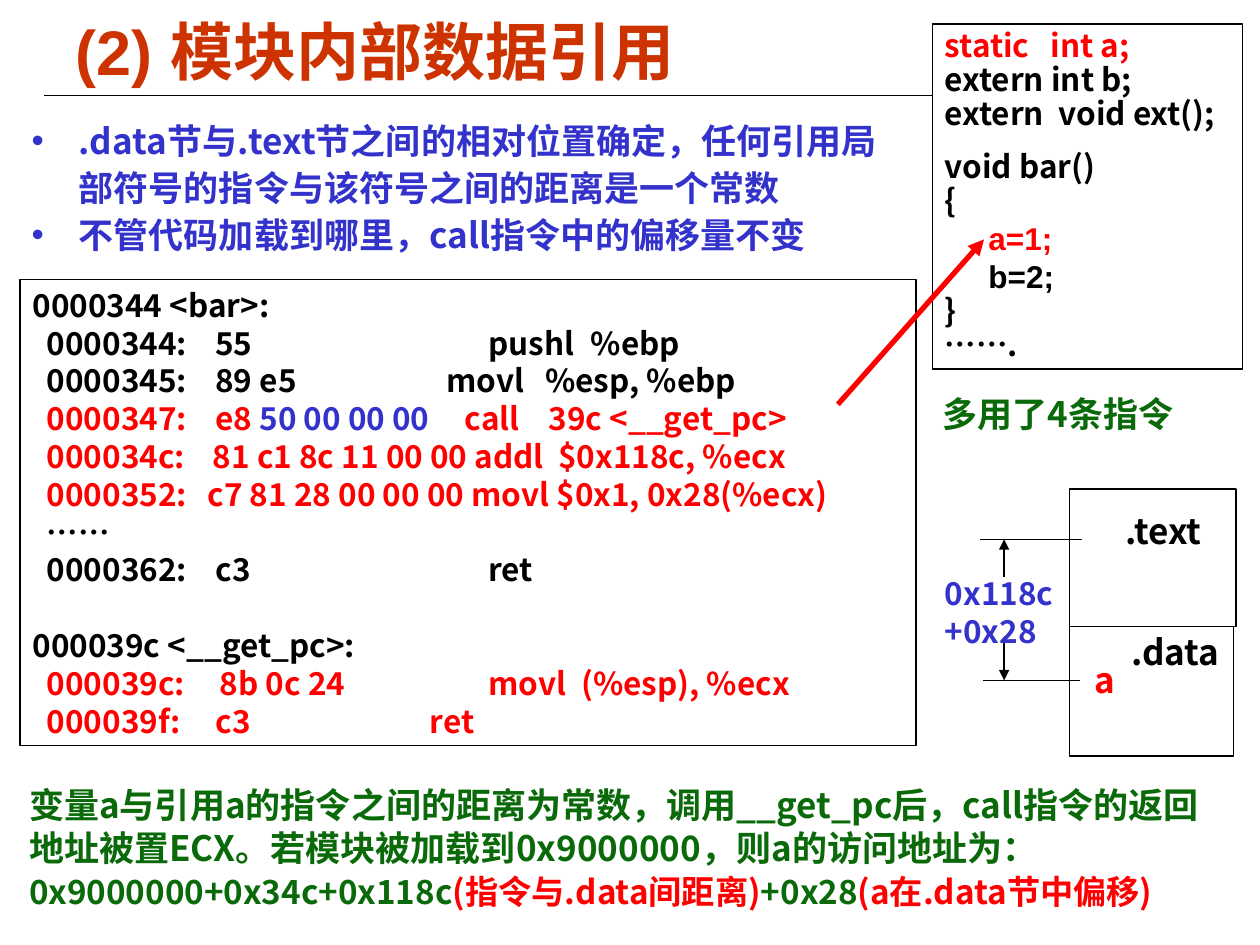
from lxml.etree import SubElement
from pptx import Presentation
from pptx.dml.color import RGBColor
from pptx.enum.shapes import MSO_CONNECTOR, MSO_SHAPE
from pptx.enum.text import MSO_ANCHOR, MSO_AUTO_SIZE, PP_ALIGN
from pptx.oxml.ns import qn
from pptx.util import Pt

SANS, ARIAL = "Noto Sans CJK SC", "Arial"
BLACK, WHITE, RED = "000000", "FFFFFF", "FF0000"
BLUE, GREEN, RUST = "3333CC", "0A6A0A", "CC3300"


def paint(code):
    return RGBColor.from_string(code)


def write(para, text, size=18, color=BLACK, font=SANS, pitch=None,
          before=0, stops=(), bullet=None):
    props = para._p.get_or_add_pPr()
    if bullet:
        props.set("marL", str(Pt(27)))
        props.set("indent", str(Pt(-27)))
        tint = SubElement(props, qn("a:buClr"))
        SubElement(tint, qn("a:srgbClr"), val=color)
        SubElement(props, qn("a:buFont"), typeface=ARIAL)
        SubElement(props, qn("a:buChar"), char=bullet)
    if stops:
        tabs = SubElement(props, qn("a:tabLst"))
        for stop in stops:
            SubElement(tabs, qn("a:tab"), pos=str(Pt(stop)), algn="l")
    para.alignment = PP_ALIGN.LEFT
    para.space_before = Pt(before)
    para.space_after = Pt(0)
    if pitch:
        para.line_spacing = Pt(pitch)
    parts = [(text, color)] if isinstance(text, str) else text
    for words, shade in parts:
        run = para.add_run()
        run.text = words
        run.font.size = Pt(size)
        run.font.bold = True
        run.font.color.rgb = paint(shade)
        run.font.name = font
        SubElement(run._r.get_or_add_rPr(), qn("a:ea"), typeface=SANS)


class Deck:
    thin = 0.75

    def __init__(self):
        self.file = Presentation()
        self.file.slide_width, self.file.slide_height = Pt(720), Pt(540)
        self.slide = self.file.slides.add_slide(self.file.slide_layouts[1])

    def fill(self, shape, rows, wrap=True, side=7.2, anchor=MSO_ANCHOR.TOP, **base):
        frame = shape.text_frame
        frame.word_wrap = wrap
        frame.auto_size = MSO_AUTO_SIZE.NONE
        frame.vertical_anchor = anchor
        frame.margin_left = frame.margin_right = Pt(side)
        frame.margin_top = frame.margin_bottom = Pt(3.6)
        for i, row in enumerate(rows):
            para = frame.add_paragraph() if i else frame.paragraphs[0]
            text, style = row if isinstance(row, tuple) else (row, {})
            write(para, text, **{**base, **style})

    def holder(self, index, area, rows, **base):
        shape = self.slide.placeholders[index]
        shape.left, shape.top, shape.width, shape.height = map(Pt, area)
        self.fill(shape, rows, **base)

    def label(self, area, rows, **base):
        self.fill(self.slide.shapes.add_textbox(*map(Pt, area)), rows, **base)

    def box(self, area, rows=(), back=WHITE, **base):
        shape = self.slide.shapes.add_shape(MSO_SHAPE.RECTANGLE, *map(Pt, area))
        shape.shadow.inherit = False
        if back:
            shape.fill.solid()
            shape.fill.fore_color.rgb = paint(back)
        else:
            shape.fill.background()
        shape.line.color.rgb = paint(BLACK)
        shape.line.width = Pt(self.thin)
        self.fill(shape, rows, **base)

    def line(self, ends, color=BLACK, width=thin, arrow=False):
        link = self.slide.shapes.add_connector(MSO_CONNECTOR.STRAIGHT, *map(Pt, ends))
        link.line.color.rgb = paint(color)
        link.line.width = Pt(width)
        if arrow:
            SubElement(link.line._get_or_add_ln(), qn("a:tailEnd"), type="triangle")
        SubElement(link._element.spPr, qn("a:effectLst"))


def main():
    deck = Deck()
    deck.line((25.2, 54.7, 694.8, 54.7))
    deck.holder(0, (36, 6.5, 648, 44), ["(2) 模块内部数据引用"],
                size=36, color=RUST, font=ARIAL, anchor=MSO_ANCHOR.MIDDLE)
    deck.holder(1, (10.8, 61.9, 510.5, 87), [
        ".data节与.text节之间的相对位置确定，任何引用局部符号的指令与该符号之间的距离是一个常数",
        "不管代码加载到哪里，call指令中的偏移量不变",
    ], size=20, color=BLUE, pitch=26.9, bullet="•")

    body = {"font": ARIAL, "pitch": 21.7}
    deck.box((532.8, 13.7, 177.1, 197.3), [
        ("static\tint a;", {"color": RED, "stops": [60.6]}),
        "extern int b;",
        ("extern\tvoid ext();", {"stops": [65]}),
        ("void bar()", {"before": 10.9}),
        "{",
        ("     a=1;", {"color": RED, **body}),
        ("     b=2;", body),
        "}",
        "…….",
    ], pitch=19.4)

    deck.box((11.5, 159.8, 511.9, 266.4), [
        "0000344 <bar>:",
        ("  0000344:\t55\tpushl\t%ebp", {"stops": [104.5, 260.5, 319]}),
        ("  0000345:\t89 e5\tmovl\t%esp, %ebp", {"stops": [104.5, 236.5, 293]}),
        ([("  0000347:\te8 ", RED), ("50 00 00 00", BLUE),
          ("\tcall\t39c <__get_pc>", RED)], {"stops": [104.5, 247, 295]}),
        ("  000034c:\t81 c1 8c 11 00 00 addl\t$0x118c, %ecx",
         {"color": RED, "stops": [103, 300.5]}),
        ("  0000352:\tc7 81 28 00 00 00 movl $0x1, 0x28(%ecx)",
         {"color": RED, "stops": [100]}),
        "  ……",
        ("  0000362:\tc3\tret", {"stops": [104.5, 260.5]}),
        ("000039c <__get_pc>:", {"before": 21.6}),
        ("  000039c:\t8b 0c 24\tmovl\t(%esp), %ecx",
         {"color": RED, "stops": [107, 260.5, 313.5]}),
        ("  000039f:\tc3\tret", {"color": RED, "stops": [104.5, 227]}),
    ], back=None, pitch=21.6)

    deck.label((16.6, 443.5, 684.7, 80.6), [
        "变量a与引用a的指令之间的距离为常数，调用__get_pc后，call指令的返回地址被置ECX。"
        "若模块被加载到0x9000000，则a的访问地址为：",
        ([("0x9000000+0x34c+0x118c", GREEN), ("(指令与.data间距离)", RED),
          ("+0x28", GREEN), ("(a在.data节中偏移)", RED)], {"size": 19}),
    ], size=20, color=GREEN, pitch=24.5, side=0)

    deck.box((611.3, 279.4, 95, 78.5))
    deck.box((611.3, 357.9, 93.6, 74.2))
    for text, left, top, color in ((".text", 635.8, 287.3, BLACK),
                                   (".data", 639.4, 356.4, BLACK),
                                   ("a", 618.5, 372.2, RED)):
        deck.label((left, top, 65.5, 31.7), [text], size=20, color=color,
                   pitch=24.5, wrap=False)
    high, low, mid = 308.2, 388.8, 573.8
    deck.line((560.2, high, 618.5, high))
    deck.line((561.6, low, 617, low))
    deck.line((mid, 329.8, mid, high), arrow=True)
    deck.line((mid, 364.3, mid, low), arrow=True)
    deck.label((532.8, 324.7, 87.1, 50.4), ["0x118c", "+0x28"],
               color=BLUE, pitch=21.6)
    deck.line((478.8, 231.1, 562.3, 136.8), color=RED, width=3, arrow=True)
    deck.label((531.4, 220.3, 150.5, 55.4), ["多用了4条指令"],
               size=20, color=GREEN, pitch=24.5)
    deck.file.save("out.pptx")


if __name__ == "__main__":
    main()
